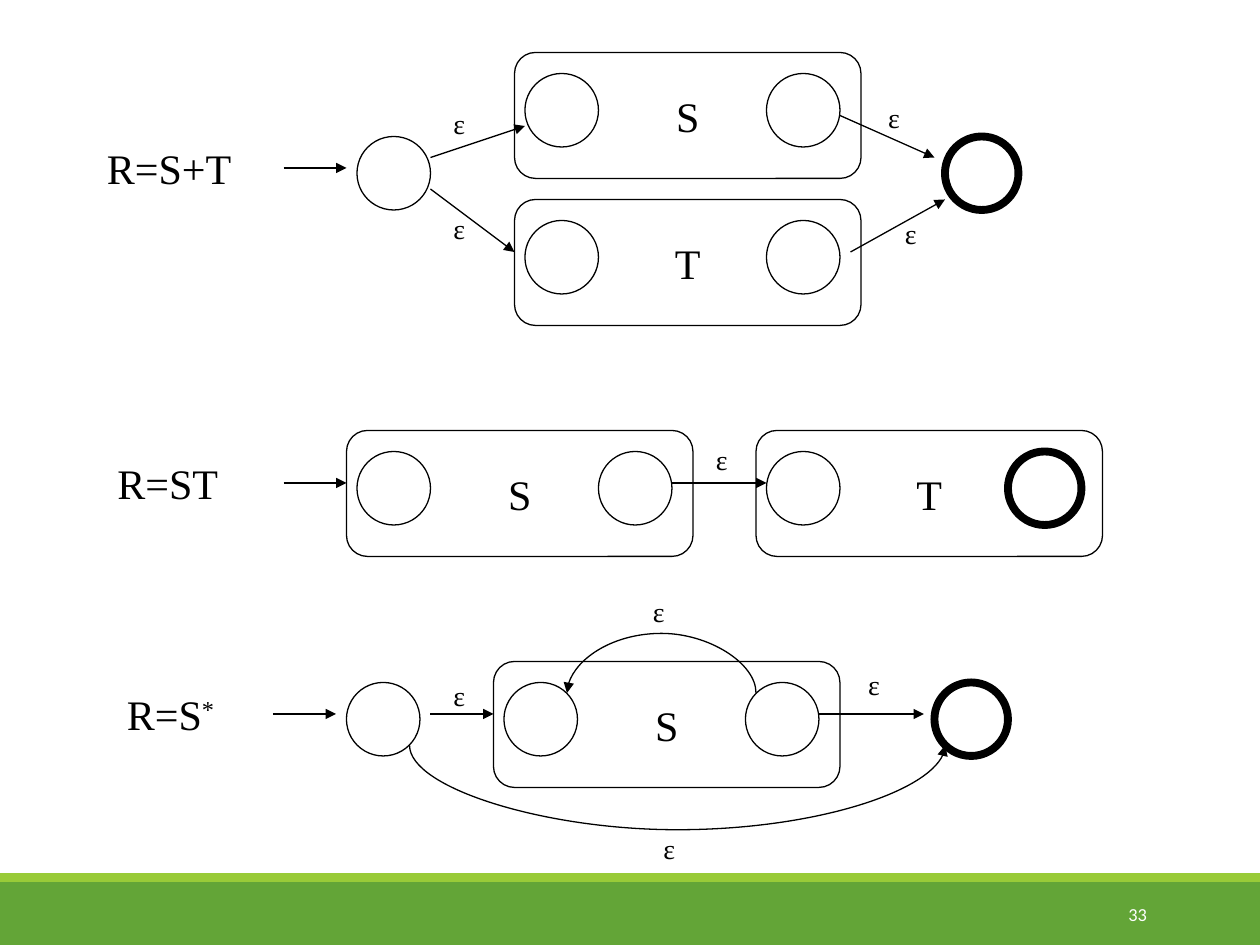
from lxml.etree import SubElement
from pptx import Presentation
from pptx.dml.color import RGBColor
from pptx.enum.shapes import MSO_CONNECTOR, MSO_SHAPE
from pptx.enum.text import MSO_ANCHOR, MSO_AUTO_SIZE, PP_ALIGN
from pptx.oxml.ns import qn
from pptx.util import Inches, Pt

presentation = Presentation()
presentation.slide_width = Inches(10)
presentation.slide_height = Inches(7.5)
slide = presentation.slides.add_slide(presentation.slide_layouts[6])
shapes = slide.shapes

# The grid has 120 columns and 90 rows
UNIT = presentation.slide_width / 120
color = RGBColor.from_string
BLACK = "000000"
STATE_SIZE = 7
BOX_WIDTH, BOX_HEIGHT = 33, 12


def grid(*values):
    return [round(value * UNIT) for value in values]


def write(shape, text, size, font="Times New Roman", hex_color=BLACK):
    shape.text_frame.text = text
    for run in shape.text_frame.paragraphs[0].runs:
        run.font.size = Pt(size)
        run.font.name = font
        run.font.color.rgb = color(hex_color)


# Footer bars
for row, height, hex_color in [(84, 6, "63A537"), (83.16, 0.84, "99CB38")]:
    bar = shapes.add_shape(MSO_SHAPE.RECTANGLE, *grid(0, row, 120, height))
    bar.shadow.inherit = False
    bar.fill.solid()
    bar.fill.fore_color.rgb = color(hex_color)
    bar.line.fill.background()

# Sub-automata: each box holds a start state and an end state
boxes = [(49, 5, "S"), (49, 19, "T"), (33, 41, "S"), (72, 41, "T"), (47, 63, "S")]
states = [(34, 13), (33, 65)]
accepting = [(90, 13), (96, 43), (89, 65)]
outlines = []
for column, row, name in boxes:
    box = shapes.add_shape(MSO_SHAPE.ROUNDED_RECTANGLE,
                           *grid(column, row, BOX_WIDTH, BOX_HEIGHT))
    write(box, name, 24)
    box.text_frame.vertical_anchor = MSO_ANCHOR.MIDDLE
    box.text_frame.paragraphs[0].alignment = PP_ALIGN.CENTER
    outlines.append((box, 0.75))
    states += [(column + 1, row + 2), (column + 24, row + 2)]

# States, with a heavy ring on the accepting ones
for column, row in dict.fromkeys(states + accepting):
    state = shapes.add_shape(MSO_SHAPE.OVAL, *grid(column, row, STATE_SIZE, STATE_SIZE))
    outlines.append((state, 4.5 if (column, row) in accepting else 0.75))

for shape, weight in outlines:
    shape.shadow.inherit = False
    shape.fill.background()
    shape.line.color.rgb = color(BLACK)
    shape.line.width = Pt(weight)

# Straight transitions: from column, from row, to column, to row
transitions = [
    (27, 16, 33, 16), (41, 15, 50, 12), (41, 18, 49, 24), (81, 24, 90, 19),
    (80, 11, 89, 15), (27, 46, 33, 46), (64, 46, 73, 46), (26, 68, 32, 68),
    (41, 68, 47, 68), (78, 68, 88, 68),
]
connectors = [shapes.add_connector(MSO_CONNECTOR.STRAIGHT, *grid(*ends))
              for ends in transitions]

# Curved transitions: thin upright connectors, bent sideways and then turned
THICKNESS = 0.01
curves = [(72, 54, 66, -6, 90), (39, 90, 71, 8.5, 270)]
for start, end, row, depth, angle in curves:
    middle, half_span = (start + end) / 2, abs(end - start) / 2
    half_width = THICKNESS / 2 if angle == 90 else -THICKNESS / 2
    curve = shapes.add_connector(
        MSO_CONNECTOR.CURVE,
        *grid(middle - half_width, row - half_span, middle + half_width, row + half_span))
    properties = curve._element.spPr
    properties.find(qn("a:xfrm")).set("rot", str(angle * 60000))
    guides = properties.find(qn("a:prstGeom")).find(qn("a:avLst"))
    bend = round(depth / THICKNESS * 100000)
    SubElement(guides, qn("a:gd"), name="adj1", fmla=f"val {bend}")
    connectors.append(curve)

for connector in connectors:
    connector.line.color.rgb = color(BLACK)
    connector.line.width = Pt(0.75)
    SubElement(connector.line._get_or_add_ln(), qn("a:tailEnd"), type="triangle")
    SubElement(connector._element.spPr, qn("a:effectLst"))

# Expressions and transition labels: column, row, width, height, text, size
labels = [
    (9, 13, 14.3, 6, "R=S+T", 24),
    (10, 43, 12, 6, "R=ST", 24),
    (10.9, 65, 10.9, 6, "R=S", 24),
]
epsilons = [(42, 9.6), (42, 19.6), (83.4, 9), (85, 20), (67, 41.6),
            (42, 64), (62, 78.6), (61, 56), (81.5, 63)]
labels += [(column, row, 3.6, 4.4, "ε", 16) for column, row in epsilons]
for *place, text, size in labels:
    label = shapes.add_textbox(*grid(*place))
    label.text_frame.word_wrap = False
    label.text_frame.auto_size = MSO_AUTO_SIZE.SHAPE_TO_FIT_TEXT
    write(label, text, size)
    if text == "R=S":
        star = label.text_frame.paragraphs[0].add_run()
        star.text = "*"
        star.font.size = Pt(size)
        star.font.name = "Times New Roman"
        star.font.color.rgb = color(BLACK)
        star.font._element.set("baseline", "30000")

# Slide number
number = shapes.add_textbox(*grid(97.4, 84.7, 13, 4.8))
number.text_frame.word_wrap = True
write(number, "33", 10.5, "Calibri", "FFFFFF")
number.text_frame.vertical_anchor = MSO_ANCHOR.MIDDLE
number.text_frame.paragraphs[0].alignment = PP_ALIGN.RIGHT

presentation.save("out.pptx")
